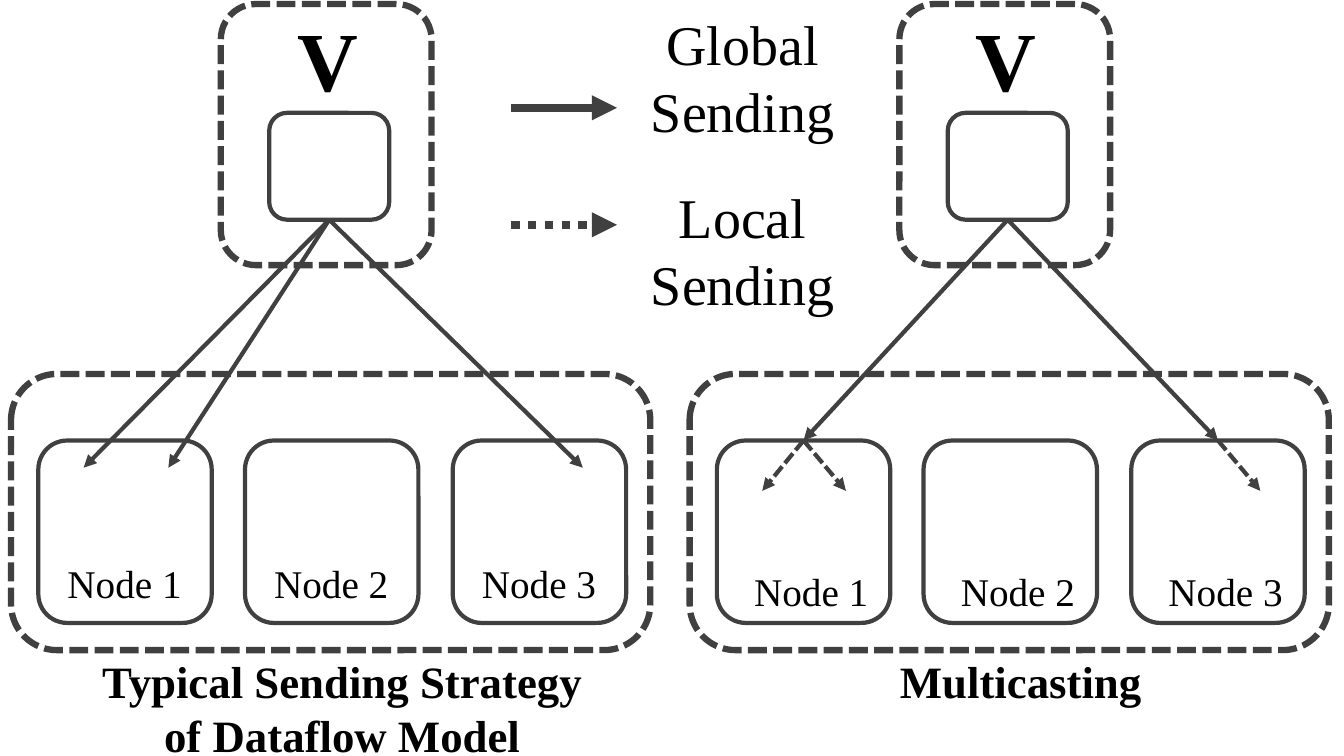
import pptx
import pptx.util
import pptx.dml.color
import pptx.enum.dml
import pptx.enum.shapes
import pptx.enum.text
import pptx.oxml
import pptx.oxml.ns

PX = 9144
INK = "404040"
DASHED = pptx.enum.dml.MSO_LINE.SQUARE_DOT
DOTTED = pptx.enum.dml.MSO_LINE.ROUND_DOT
CENTER = pptx.enum.text.PP_ALIGN.CENTER
LEFT = pptx.enum.text.PP_ALIGN.LEFT
BOTTOM, TOP = 2, 0


def px(*lengths):
    return [length * PX for length in lengths]


def color(value):
    return pptx.dml.color.RGBColor.from_string(value)


def style_line(line, width, dash):
    line.color.rgb = color(INK)
    line.width = pptx.util.Pt(width)
    if dash is not None:
        line.dash_style = dash


def add_frame(page, left, top, width, height, weight=3, dash=None):
    frame = page.shapes.add_shape(
        pptx.enum.shapes.MSO_SHAPE.ROUNDED_RECTANGLE, *px(left, top, width, height))
    frame.shadow.inherit = False
    frame.fill.background()
    style_line(frame.line, weight, dash)
    return frame


def add_arrow(page, start, end, weight=3, dash=None, source=None, target=None):
    arrow = page.shapes.add_connector(
        pptx.enum.shapes.MSO_CONNECTOR.STRAIGHT, *px(*start, *end))
    if source is not None:
        arrow.begin_connect(source, BOTTOM if target or start[1] < 300 else TOP)
    if target is not None:
        arrow.end_connect(target, TOP)
    style_line(arrow.line, weight, dash)
    line = arrow.line._get_or_add_ln()
    pptx.oxml.ns.qn("a:tailEnd")
    tail = line.makeelement(pptx.oxml.ns.qn("a:tailEnd"), {"type": "triangle"})
    line.append(tail)
    properties = arrow._element.spPr
    properties.append(properties.makeelement(pptx.oxml.ns.qn("a:effectLst"), {}))
    return arrow


def add_text(page, left, top, width, height, lines, size,
             bold=False, wrap=True, align=CENTER):
    box = page.shapes.add_textbox(*px(left, top, width, height))
    frame = box.text_frame
    frame.word_wrap = wrap
    for index, line in enumerate(lines):
        para = frame.paragraphs[0] if index == 0 else frame.add_paragraph()
        para.alignment = align
        span = para.add_run()
        span.text = line
        span.font.name = "Times New Roman"
        span.font.size = pptx.util.Pt(size)
        span.font.bold = bold
        span.font.color.rgb = color("000000")


def add_legend(page, left, top):
    entries = [("Global Sending", None, 103, 0), ("Local Sending", DOTTED, 219, 172)]
    for label, dash, arrow_top, text_top in entries:
        add_arrow(page, (left, top + arrow_top), (left + 105, top + arrow_top), 6, dash)
        add_text(page, left + 102, top + text_top, 255, 145, [label], 40)


def add_panel(page, left, top, caption, label_shift):
    add_frame(page, left + 208, top, 209, 259, 4.5, DASHED)
    vertex = add_frame(page, left + 256, top + 108, 119, 106)
    add_text(page, left + 274, top - 1, 81, 111, ["V"], 60, True, False, LEFT)
    add_frame(page, left, top + 367, 634, 274, 4.5, DASHED)
    nodes = []
    for index in range(3):
        node_left = left + 27 + index * 411 // 2
        nodes.append(add_frame(page, node_left, top + 433, 172, 181))
        add_text(page, node_left + 18 + label_shift, top + 546 + label_shift,
                 135, 57, [f"Node {index + 1}"], 28, wrap=False)
    add_text(page, left, top + 640, 657, 64 + 54 * (len(caption) - 1), caption, 32, True)
    return vertex, nodes


def add_direct_sending(page, left, top):
    vertex, nodes = add_panel(
        page, left, top, ["Typical Sending Strategy", "of Dataflow Model"], 0)
    for target in (72, 156, 567):
        add_arrow(page, (left + 316, top + 214), (left + target, top + 460), source=vertex)


def add_multicasting(page, left, top):
    vertex, nodes = add_panel(page, left, top, ["Multicasting"], 8)
    for node, center, spreads in ((nodes[0], 113, (-41, 42)), (nodes[2], 524, (42,))):
        entry = (left + center, top + 433)
        add_arrow(page, (left + 316, top + 214), entry, source=vertex, target=node)
        for spread in spreads:
            add_arrow(page, entry, (entry[0] + spread, entry[1] + 50),
                      dash=DASHED, source=node)


def main():
    deck = pptx.Presentation()
    deck.slide_width, deck.slide_height = px(1333, 750)
    page = deck.slides.add_slide(deck.slide_layouts[6])
    add_legend(page, 507, 4)
    add_direct_sending(page, 11, 4)
    add_multicasting(page, 684, 4)
    deck.save("out.pptx")


if __name__ == "__main__":
    main()
